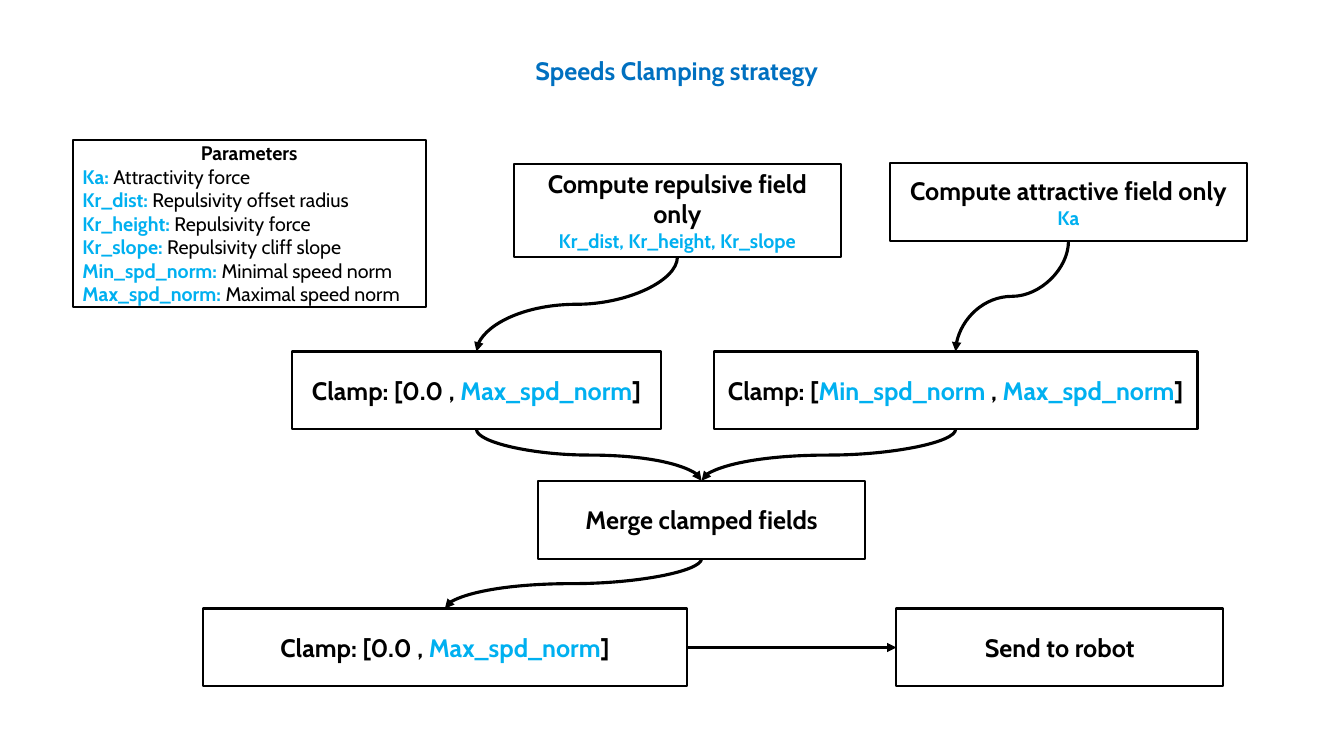
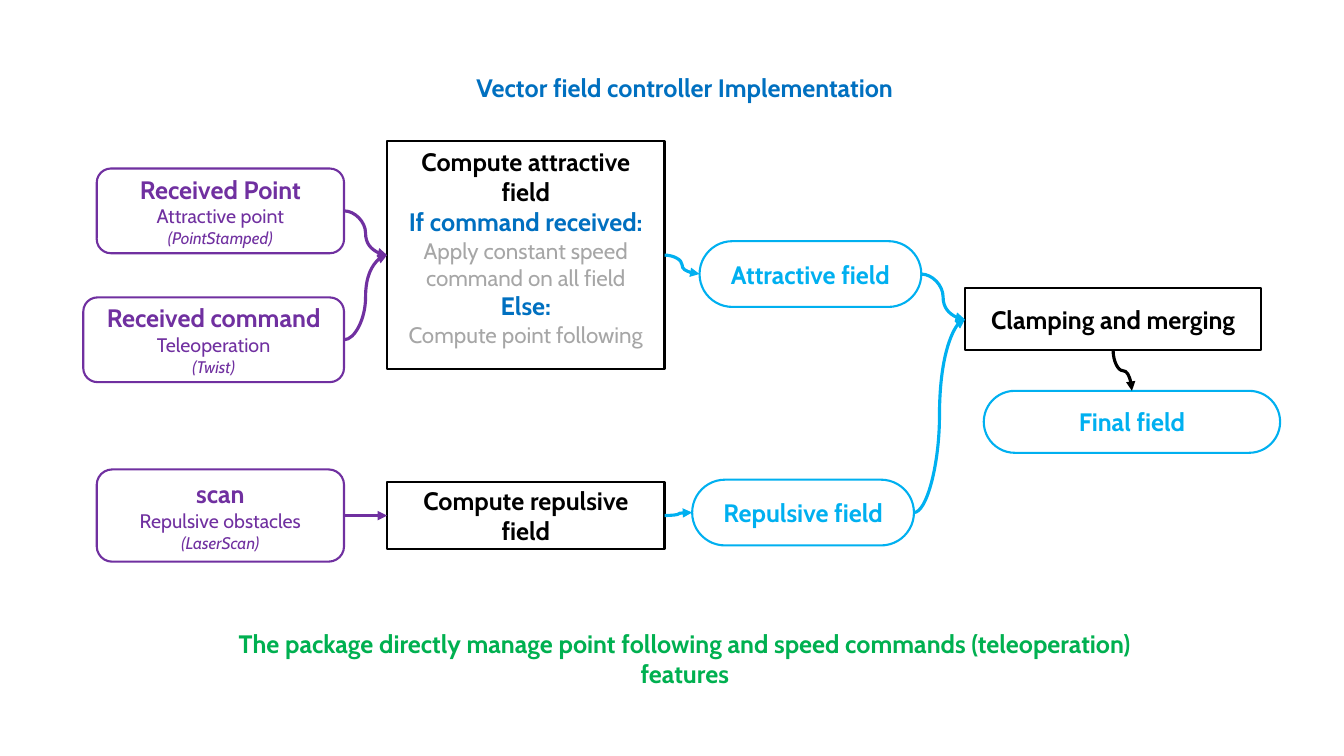
"""Build two flowchart slides about a vector field controller."""
import lxml.etree
import pptx
import pptx.dml.color
import pptx.enum.shapes
import pptx.enum.text
import pptx.oxml.ns
import pptx.util

COLORS = {
    "black": "000000",
    "white": "FFFFFF",
    "blue": "0070C0",
    "cyan": "00B0F0",
    "purple": "7030A0",
    "green": "00B050",
    "gray": "A6A6A6",
}
FONT = "Cabin"
BOX_LINE = pptx.util.Pt(1.5)
ARROW_LINE = pptx.util.Pt(2.25)
SHAPES = pptx.enum.shapes.MSO_SHAPE
CURVE = pptx.enum.shapes.MSO_CONNECTOR.CURVE
STRAIGHT = pptx.enum.shapes.MSO_CONNECTOR.STRAIGHT
ALIGN = pptx.enum.text.PP_ALIGN
ANCHOR = pptx.enum.text.MSO_ANCHOR

presentation = pptx.Presentation()
presentation.slide_width = pptx.util.Inches(13.33)
presentation.slide_height = pptx.util.Inches(7.5)
COLUMN = presentation.slide_width / 100
ROW = presentation.slide_height / 100


def rgb(name):
    """Return the named colour."""
    return pptx.dml.color.RGBColor.from_string(COLORS[name])


def write(paragraph, text, size=18, color="black", bold=True, italic=False):
    """Add a formatted run to a paragraph."""
    font = paragraph.add_run().font
    paragraph.runs[-1].text = text
    font.name = FONT
    font.size = pptx.util.Pt(size)
    font.bold = bold
    font.italic = italic
    font.color.rgb = rgb(color)


HEADING = {}
FIELD = {"color": "cyan"}
CONDITION = {"color": "blue"}
ACTION = {"size": 16, "color": "gray", "bold": False}
SMALL_HEADING = {"size": 14}
SMALL_FIELD = {"size": 14, "color": "cyan"}
SMALL_BODY = {"size": 14, "bold": False}
TOPIC = {"color": "purple"}
TOPIC_USE = {"size": 14, "color": "purple", "bold": False}
TOPIC_TYPE = {"size": 12, "color": "purple", "bold": False, "italic": True}

PARAMETERS = [
    ("Ka: ", "Attractivity force"),
    ("Kr_dist: ", "Repulsivity offset radius"),
    ("Kr_height: ", "Repulsivity force"),
    ("Kr_slope: ", "Repulsivity cliff slope"),
    ("Min_spd_norm: ", "Minimal speed norm"),
    ("Max_spd_norm: ", "Maximal speed norm"),
]
legend = [[("Parameters", SMALL_HEADING)]]
legend += [[(name, SMALL_FIELD), (meaning, SMALL_BODY)] for name, meaning in PARAMETERS]
clamp_to_maximum = [[("Clamp: [0.0 , ", HEADING), ("Max_spd_norm", FIELD), ("]", HEADING)]]
clamp_to_range = [[
    ("Clamp: [", HEADING), ("Min_spd_norm", FIELD), (" , ", HEADING),
    ("Max_spd_norm", FIELD), ("]", HEADING),
]]

KINDS = {
    "legend": {"shape": SHAPES.RECTANGLE, "line": "black"},
    "step": {"shape": SHAPES.RECTANGLE, "line": "black"},
    "tall step": {"shape": SHAPES.RECTANGLE, "line": "black"},
    "topic": {"shape": SHAPES.ROUNDED_RECTANGLE, "line": "purple"},
    "field": {"shape": SHAPES.ROUNDED_RECTANGLE, "line": "cyan"},
}

SLIDES = [
    {
        "banners": [(8.7, 6.7, 83.3, "Speeds Clamping strategy", "blue")],
        "boxes": {
            "legend": ("legend", 5.4, 18.5, 26.3, 22.1, legend),
            "repulsive": ("step", 38.25, 21.7, 24.3, 12.3, [
                [("Compute repulsive field only", HEADING)],
                [("Kr_dist, Kr_height, Kr_slope", SMALL_FIELD)],
            ]),
            "attractive": ("step", 66.2, 21.6, 26.6, 10.3, [
                [("Compute attractive field only", HEADING)],
                [("Ka", SMALL_FIELD)],
            ]),
            "repulsive clamp": ("step", 21.7, 46.5, 27.5, 10.3, clamp_to_maximum),
            "attractive clamp": ("step", 53.1, 46.5, 36, 10.3, clamp_to_range),
            "merge": ("step", 40.05, 63.6, 24.3, 10.3, [[("Merge clamped fields", HEADING)]]),
            "final clamp": ("step", 15.1, 80.5, 36, 10.3, clamp_to_maximum),
            "send": ("step", 66.7, 80.5, 24.3, 10.3, [[("Send to robot", HEADING)]]),
        },
        "arrows": [
            ("repulsive", "repulsive clamp", "down", "black"),
            ("attractive", "attractive clamp", "down", "black"),
            ("repulsive clamp", "merge", "down", "black"),
            ("attractive clamp", "merge", "down", "black"),
            ("merge", "final clamp", "down", "black"),
            ("final clamp", "send", "level", "black"),
        ],
    },
    {
        "banners": [
            (9.3, 8.9, 83.3, "Vector field controller Implementation", "blue"),
            (14.2, 82.4, 73.5, "The package directly manage point following and speed "
             "commands (teleoperation) features", "green"),
        ],
        "boxes": {
            "merge": ("step", 71.8, 38.15, 22.05, 8.2, [[("Clamping and merging", HEADING)]]),
            "attractive field": ("field", 52.05, 31.9, 16.5, 8.7, [[("Attractive field", FIELD)]]),
            "repulsive field": ("field", 51.5, 63.45, 16.5, 8.7, [[("Repulsive field", FIELD)]]),
            "final field": ("field", 73.2, 51.7, 22.05, 8.2, [[("Final field", FIELD)]]),
            "repulsive": ("step", 28.8, 63.75, 20.65, 8.9, [[("Compute repulsive field", HEADING)]]),
            "scan": ("topic", 7.2, 62.1, 18.4, 12.2, [
                [("scan", TOPIC)],
                [("Repulsive obstacles", TOPIC_USE)],
                [("(LaserScan)", TOPIC_TYPE)],
            ]),
            "point": ("topic", 7.2, 22.3, 18.4, 11.2, [
                [("Received Point", TOPIC)],
                [("Attractive point", TOPIC_USE)],
                [("(PointStamped)", TOPIC_TYPE)],
            ]),
            "command": ("topic", 6.2, 39.35, 19.4, 11.2, [
                [("Received command", TOPIC)],
                [("Teleoperation", TOPIC_USE)],
                [("(Twist)", TOPIC_TYPE)],
            ]),
            "attractive": ("tall step", 28.8, 18.7, 20.65, 30.1, [
                [("Compute attractive field", HEADING)],
                [("If command received:", CONDITION)],
                [("Apply constant speed command on all field", ACTION)],
                [("Else:", CONDITION)],
                [("Compute point following", ACTION)],
            ]),
        },
        "arrows": [
            ("attractive field", "merge", "across", "cyan"),
            ("repulsive field", "merge", "across", "cyan"),
            ("merge", "final field", "down", "black"),
            ("scan", "repulsive", "level", "purple"),
            ("repulsive", "repulsive field", "across", "cyan"),
            ("attractive", "attractive field", "across", "cyan"),
            ("command", "attractive", "across", "purple"),
            ("point", "attractive", "across", "purple"),
        ],
    },
]

for content in SLIDES:
    slide = presentation.slides.add_slide(presentation.slide_layouts[6])

    for left, top, width, text, color in content["banners"]:
        banner = slide.shapes.add_textbox(
            int(left * COLUMN), int(top * ROW), int(width * COLUMN), int(5.3 * ROW))
        banner.text_frame.word_wrap = True
        banner.text_frame.auto_size = pptx.enum.text.MSO_AUTO_SIZE.SHAPE_TO_FIT_TEXT
        paragraph = banner.text_frame.paragraphs[0]
        paragraph.alignment = ALIGN.CENTER
        write(paragraph, text, color=color)

    boxes = {}
    for name, (kind, left, top, width, height, paragraphs) in content["boxes"].items():
        shape = slide.shapes.add_shape(
            KINDS[kind]["shape"],
            int(left * COLUMN), int(top * ROW), int(width * COLUMN), int(height * ROW))
        boxes[name] = shape
        shape.shadow.inherit = False
        shape.line.color.rgb = rgb(KINDS[kind]["line"])
        shape.line.width = BOX_LINE
        if kind == "legend":
            shape.fill.solid()
            shape.fill.fore_color.rgb = rgb("white")
        else:
            shape.fill.background()
        if kind == "field":
            shape.adjustments[0] = 0.5
        frame = shape.text_frame
        frame.word_wrap = True
        frame.vertical_anchor = ANCHOR.TOP if kind == "tall step" else ANCHOR.MIDDLE
        for index, runs in enumerate(paragraphs):
            paragraph = frame.add_paragraph() if index else frame.paragraphs[0]
            paragraph.alignment = ALIGN.LEFT if kind == "legend" and index else ALIGN.CENTER
            for text, style in runs:
                write(paragraph, text, **style)

    for source, target, route, color in content["arrows"]:
        arrow = slide.shapes.add_connector(STRAIGHT if route == "level" else CURVE, 0, 0, 0, 0)
        arrow.begin_connect(boxes[source], 2 if route == "down" else 3)
        arrow.end_connect(boxes[target], 0 if route == "down" else 1)
        if route == "down":
            center_x = (arrow.begin_x + arrow.end_x) // 2
            center_y = (arrow.begin_y + arrow.end_y) // 2
            half_drop = (arrow.end_y - arrow.begin_y) // 2
            half_shift = abs(arrow.end_x - arrow.begin_x) // 2
            rightward = arrow.end_x > arrow.begin_x
            direction = -1 if rightward else 1
            arrow.begin_x = center_x - direction * half_drop
            arrow.end_x = center_x + direction * half_drop
            arrow.begin_y = center_y - half_shift
            arrow.end_y = center_y + half_shift
            arrow.rotation = 270 if rightward else 90
        arrow.line.color.rgb = rgb(color)
        arrow.line.width = ARROW_LINE
        properties = arrow._element.spPr
        outline = properties.find(pptx.oxml.ns.qn("a:ln"))
        lxml.etree.SubElement(outline, pptx.oxml.ns.qn("a:tailEnd"), type="triangle")
        lxml.etree.SubElement(properties, pptx.oxml.ns.qn("a:effectLst"))

presentation.save("out.pptx")
